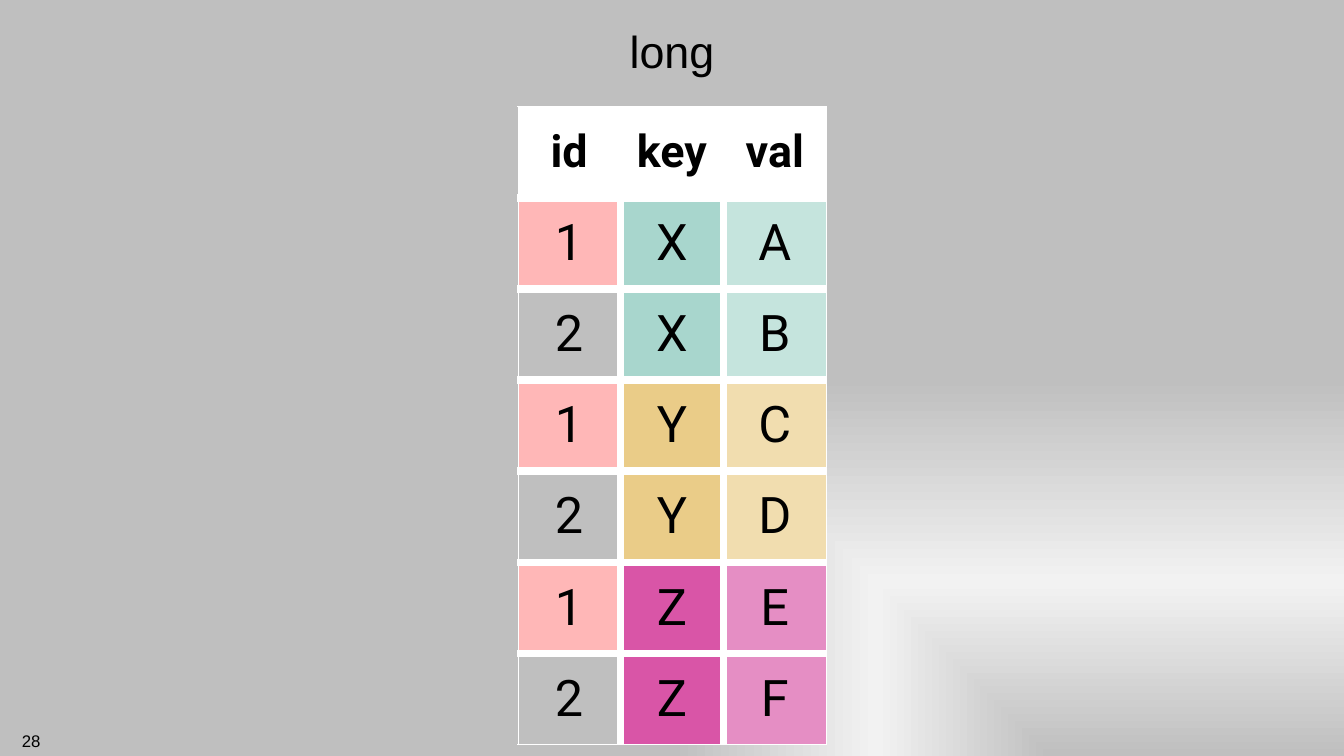
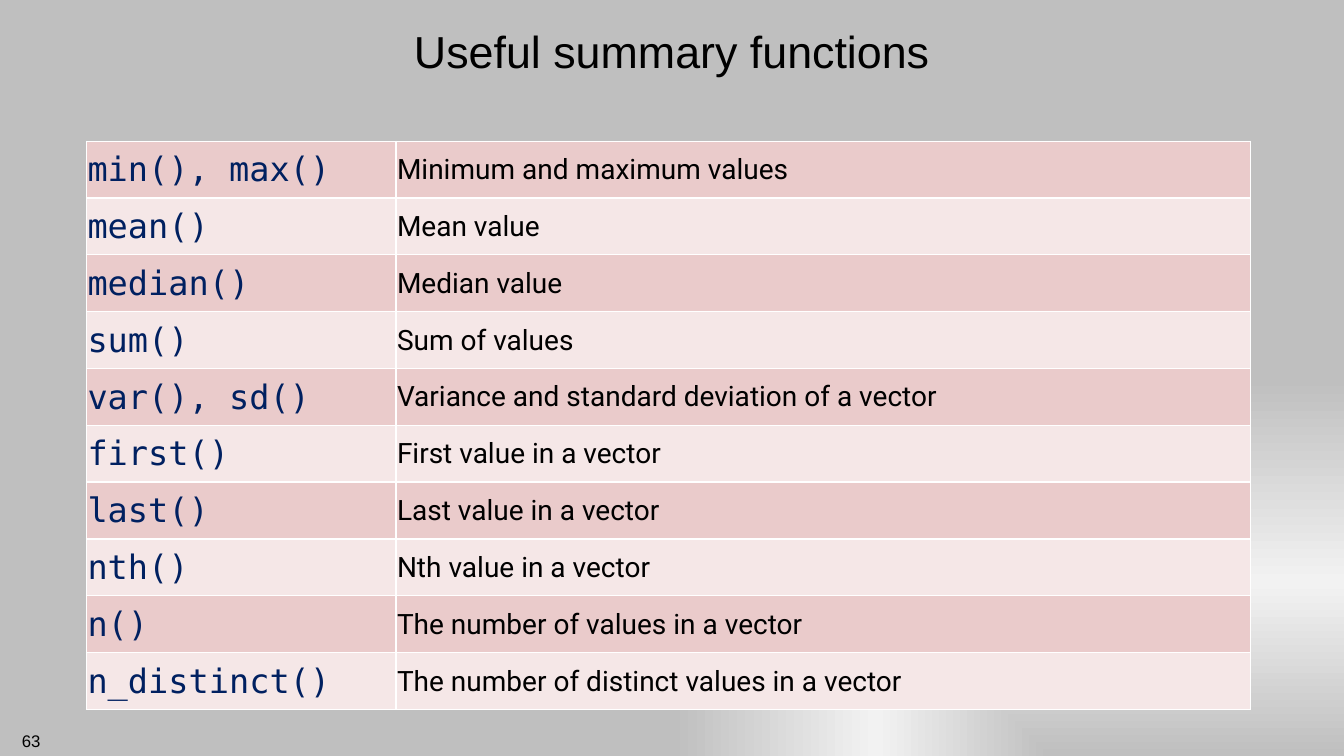
from dataclasses import dataclass
from typing import NamedTuple

from lxml.etree import SubElement
from pptx import Presentation
from pptx.dml.color import RGBColor
from pptx.enum.text import MSO_ANCHOR as Anchor, PP_ALIGN as Align
from pptx.oxml.ns import qn
from pptx.slide import Slide
from pptx.table import _Cell as Cell
from pptx.text.text import TextFrame
from pptx.util import Emu, Inches, Pt

GRID_COLUMNS, GRID_ROWS = 160, 90
UNIT = Inches(7.5) // GRID_ROWS


@dataclass(frozen=True)
class Theme:
    black: str = "000000"
    white: str = "FFFFFF"
    gray: str = "BFBFBF"
    light_gray: str = "F2F2F2"
    navy: str = "002060"
    pink: str = "FFB7B7"
    bands: tuple[str, str] = ("EACBCB", "F5E7E7")
    title_font: str = "Arial"
    body_font: str = "Roboto"
    code_font: str = "DejaVu Sans Mono"
    title_size: int = 32
    value_size: int = 36
    code_size: int = 24
    body_size: int = 20
    number_size: int = 12


THEME = Theme()


class Area(NamedTuple):
    """A place on the slide, in grid columns and rows."""
    left: float
    top: float
    width: float
    height: float


class TextStyle(NamedTuple):
    font: str
    size: int
    color: str = THEME.black
    bold: bool = False
    align: Align = Align.LEFT


class CellContent(NamedTuple):
    text: str
    fill: str
    style: TextStyle


class TableSpec(NamedTuple):
    left: float
    top: float
    column_widths: list[float]
    row_height: float
    rows: list[list[CellContent]]
    inner_line: float
    side_line: float
    edge_line: float
    margins: tuple[float, float, float, float]  # left, top, right, bottom, in inches


class KeyColors(NamedTuple):
    key: str
    key_fill: str
    value_fill: str


class SummaryFunction(NamedTuple):
    code: str
    meaning: str


TITLE_AREA = Area(12, 0, 136, 12)
NUMBER_AREA = Area(0, 86.4, 6, 3.6)
TITLE = TextStyle(THEME.title_font, THEME.title_size, align=Align.CENTER)
NUMBER = TextStyle(THEME.title_font, THEME.number_size, align=Align.RIGHT)
HEADER = TextStyle(THEME.body_font, THEME.title_size, bold=True, align=Align.CENTER)
VALUE = TextStyle(THEME.body_font, THEME.value_size, align=Align.CENTER)
CODE = TextStyle(THEME.code_font, THEME.code_size, THEME.navy)
MEANING = TextStyle(THEME.body_font, THEME.body_size)

ID_FILLS = {"1": THEME.pink, "2": THEME.gray}
KEYS = [
    KeyColors("X", "A8D6CD", "C5E4DD"),
    KeyColors("Y", "EACC88", "F1DDAF"),
    KeyColors("Z", "D955A7", "E58EC4"),
]
FUNCTIONS = [
    SummaryFunction("min(), max()", "Minimum and maximum values"),
    SummaryFunction("mean()", "Mean value"),
    SummaryFunction("median()", "Median value"),
    SummaryFunction("sum()", "Sum of values"),
    SummaryFunction("var(), sd()", "Variance and standard deviation of a vector"),
    SummaryFunction("first()", "First value in a vector"),
    SummaryFunction("last()", "Last value in a vector"),
    SummaryFunction("nth()", "Nth value in a vector"),
    SummaryFunction("n()", "The number of values in a vector"),
    SummaryFunction("n_distinct()", "The number of distinct values in a vector"),
]


def grid(count: float) -> Emu:
    return Emu(round(count * UNIT))


def write_text(frame: TextFrame, text: str, *, font: str, size: int, color: str,
               bold: bool, align: Align) -> None:
    paragraph = frame.paragraphs[0]
    paragraph.alignment = align
    run = paragraph.add_run()
    run.text = text
    run.font.name = font
    run.font.size = Pt(size)
    run.font.bold = bold
    run.font.color.rgb = RGBColor.from_string(color)


def add_text(slide: Slide, area: Area, text: str, style: TextStyle,
             anchor: Anchor = Anchor.TOP) -> None:
    frame = slide.shapes.add_textbox(*map(grid, area)).text_frame
    frame.word_wrap = True
    frame.vertical_anchor = anchor
    write_text(frame, text, **style._asdict())


def set_background(slide: Slide) -> None:
    """Fill the slide with a gradient that spreads from its lower right corner."""
    slide.background.fill.gradient()
    gradient = slide.element.find(".//" + qn("a:gradFill"))
    for child in list(gradient):
        gradient.remove(child)
    stops = SubElement(gradient, qn("a:gsLst"))
    for share, color in ((0, THEME.gray), (46, THEME.light_gray), (100, THEME.gray)):
        stop = SubElement(stops, qn("a:gs"), pos=str(share * 1000))
        SubElement(stop, qn("a:srgbClr"), val=color)
    shading = SubElement(gradient, qn("a:path"), path="rect")
    SubElement(shading, qn("a:fillToRect"), l="100000", t="100000")


def set_border(cell: Cell, side: str, width: float) -> None:
    properties = cell._tc.get_or_add_tcPr()
    line = SubElement(properties, qn(f"a:ln{side}"), w=str(Pt(width)))
    fill = SubElement(line, qn("a:solidFill"))
    SubElement(fill, qn("a:srgbClr"), val=THEME.white)


def add_table(slide: Slide, spec: TableSpec) -> None:
    row_count, column_count = len(spec.rows), len(spec.column_widths)
    area = Area(spec.left, spec.top, sum(spec.column_widths), spec.row_height * row_count)
    table = slide.shapes.add_table(row_count, column_count, *map(grid, area)).table
    table.first_row = table.horz_banding = False
    for column, width in zip(table.columns, spec.column_widths):
        column.width = grid(width)
    for i, contents in enumerate(spec.rows):
        table.rows[i].height = grid(spec.row_height)
        for j, content in enumerate(contents):
            cell = table.cell(i, j)
            set_border(cell, "L", spec.side_line if j == 0 else spec.inner_line)
            set_border(cell, "R", spec.side_line if j == column_count - 1 else spec.inner_line)
            set_border(cell, "T", spec.edge_line if i == 0 else spec.inner_line)
            set_border(cell, "B", spec.edge_line if i == row_count - 1 else spec.inner_line)
            cell.fill.solid()
            cell.fill.fore_color.rgb = RGBColor.from_string(content.fill)
            cell.vertical_anchor = Anchor.MIDDLE
            (cell.margin_left, cell.margin_top,
             cell.margin_right, cell.margin_bottom) = map(Inches, spec.margins)
            write_text(cell.text_frame, content.text, **content.style._asdict())


def long_table() -> TableSpec:
    rows = [[CellContent(name, THEME.white, HEADER) for name in ("id", "key", "val")]]
    values = iter("ABCDEF")
    for key in KEYS:
        for identifier, id_fill in ID_FILLS.items():
            rows.append([
                CellContent(identifier, id_fill, VALUE),
                CellContent(key.key, key.key_fill, VALUE),
                CellContent(next(values), key.value_fill, VALUE),
            ])
    widths = [12.25] * 3
    return TableSpec((GRID_COLUMNS - sum(widths)) / 2, 12.7, widths, 10.85, rows,
                     inner_line=6, side_line=0.25, edge_line=1,
                     margins=(0.1, 0.05, 0.1, 0.05))


def function_table() -> TableSpec:
    rows = [
        [CellContent(function.code, THEME.bands[i % 2], CODE),
         CellContent(function.meaning, THEME.bands[i % 2], MEANING)]
        for i, function in enumerate(FUNCTIONS)
    ]
    return TableSpec(10.3, 16.8, [36.85, 101.75], 6.77, rows,
                     inner_line=1, side_line=1, edge_line=1,
                     margins=(0.01, 0.01, 0.01, 0))


def add_table_slide(presentation: Presentation, number: int, title: str,
                    spec: TableSpec) -> None:
    slide = presentation.slides.add_slide(presentation.slide_layouts[6])
    set_background(slide)
    add_text(slide, NUMBER_AREA, str(number), NUMBER)
    add_text(slide, TITLE_AREA, title, TITLE, Anchor.MIDDLE)
    add_table(slide, spec)


def main() -> None:
    presentation = Presentation()
    presentation.slide_width = grid(GRID_COLUMNS)
    presentation.slide_height = grid(GRID_ROWS)
    add_table_slide(presentation, 28, "long", long_table())
    add_table_slide(presentation, 63, "Useful summary functions", function_table())
    presentation.save("out.pptx")


if __name__ == "__main__":
    main()
